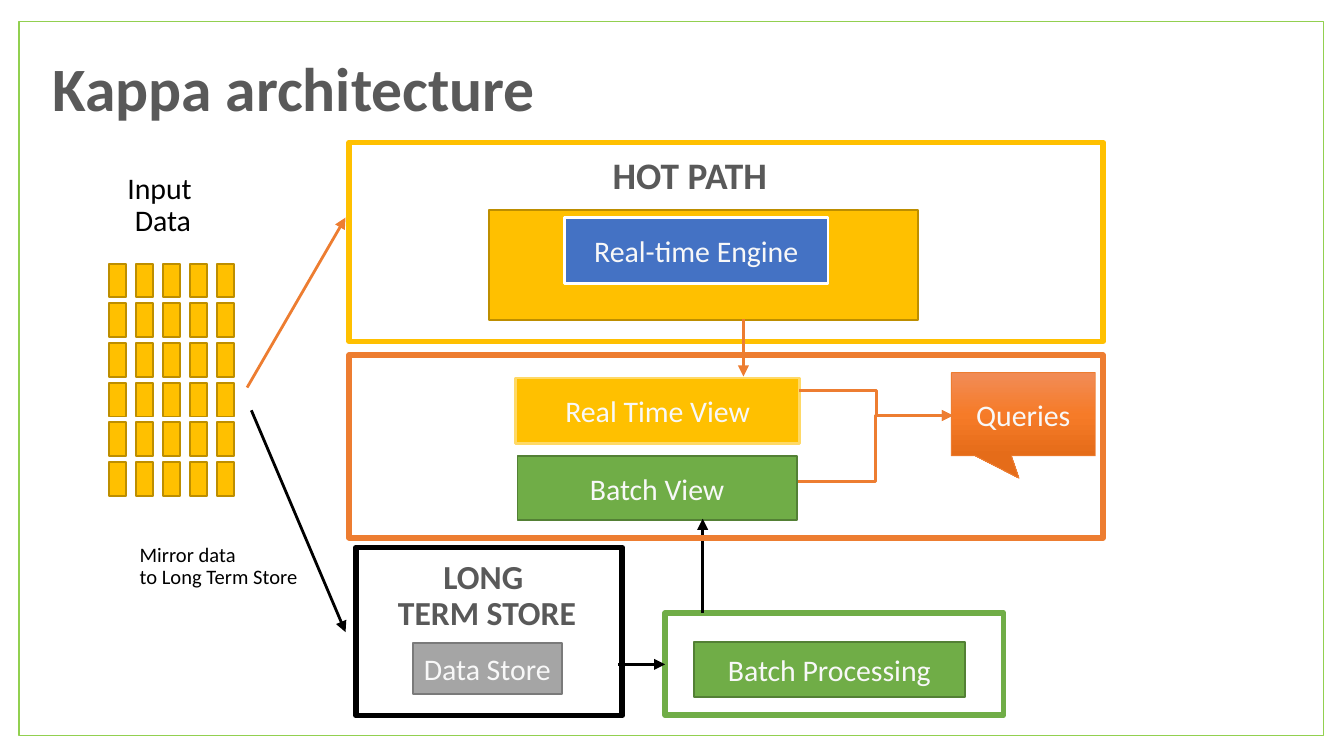
from copy import deepcopy

from lxml import etree
from pptx import Presentation
from pptx.dml.color import RGBColor
from pptx.enum.shapes import MSO_CONNECTOR as LINK, MSO_SHAPE as SHAPE
from pptx.enum.text import MSO_ANCHOR as ANCHOR, PP_ALIGN as ALIGN
from pptx.oxml.ns import qn
from pptx.util import Cm, Pt

FONT = "Calibri"
color = RGBColor.from_string

deck = Presentation()
deck.slide_width, deck.slide_height = Cm(25.4), Cm(14.28)
page = deck.slides.add_slide(deck.slide_layouts[6])


def add_box(place, fill, line, width, text="", kind=SHAPE.RECTANGLE):
    box = page.shapes.add_shape(kind, *map(Cm, place))
    box.shadow.inherit = False
    if fill:
        box.fill.solid()
        box.fill.fore_color.rgb = color(fill)
    else:
        box.fill.background()
    box.line.color.rgb = color(line)
    box.line.width = Pt(width)
    if text:
        frame = box.text_frame
        frame.text = text
        frame.margin_left = frame.margin_right = 0
        frame.vertical_anchor = ANCHOR.MIDDLE
        para = frame.paragraphs[0]
        para.alignment = ALIGN.CENTER
        para.font.name, para.font.size = FONT, Pt(16)
        para.font.color.rgb = color("F8F8F8")
    return box


def add_label(place, text, size, ink, bold, align, wrap):
    box = page.shapes.add_textbox(*map(Cm, place))
    box.text_frame.word_wrap = wrap
    box.text_frame.text = text
    for para in box.text_frame.paragraphs:
        para.alignment = align
        para.line_spacing = 0.9
        para.font.name, para.font.size, para.font.bold = FONT, Pt(size), bold
        para.font.color.rgb = color(ink)
    return box


# Page border and title
add_box((0.36, 0.41, 24.66, 13.49), None, "92D050", 0.75)
title = add_label((0.74, 0.76, 21.16, 1.93), "Kappa architecture", 33, "595959", True, ALIGN.LEFT, True)
title.text_frame.vertical_anchor = ANCHOR.MIDDLE

# Input data grid
for row in range(6):
    for column in range(5):
        add_box((2.06 + 0.51 * column, 4.98 + 0.75 * row, 0.33, 0.64), "FFC000", "BD8E00", 1)

# Boxes, back to front: place, fill, line, line width, text
for box_values in [
    ((9.25, 3.96, 8.1, 2.08), "FFC000", "BD8E00", 1),
    ((10.67, 4.11, 4.98, 1.24), "4472C4", "FFFFFF", 1.5, "Real-time Engine"),
    ((6.6, 2.69, 14.25, 3.76), None, "FFC000", 3),
    ((9.75, 7.14, 5.36, 1.24), "FFC000", "FFD966", 1.5, "Real Time View"),
    ((9.78, 8.61, 5.28, 1.22), "70AD47", "538035", 1, "Batch View"),
    ((6.73, 10.34, 5.03, 3.18), "FFFFFF", "000000", 3),
    ((7.8, 12.14, 2.82, 0.97), "A5A5A5", "7A7A7A", 1, "Data Store"),
    ((12.57, 11.58, 6.4, 1.93), "FFFFFF", "70AD47", 3),
    ((13.11, 12.12, 5.13, 1.04), "70AD47", "538035", 1, "Batch Processing"),
]:
    add_box(*box_values)

# Queries callout with a three-stop gradient
queries = add_box((17.98, 7.04, 2.72, 1.57), "F67B28", "ED7D31", 0.5, "Queries",
                  SHAPE.RECTANGULAR_CALLOUT)
queries.adjustments[0], queries.adjustments[1] = -0.03, 0.77
queries.fill.gradient()
queries.fill.gradient_angle = 270
stop_list = queries._element.spPr.find(".//" + qn("a:gsLst"))
stop_list.insert(1, deepcopy(stop_list[0]))
for stop, position, tint in zip(queries.fill.gradient_stops, (0, 0.5, 1), ("F18C57", "F67B28", "E56C19")):
    stop.position = position
    stop.color.rgb = color(tint)

# Labels
for label_values in [
    ((1.96, 3.15, 2.24, 1.52), "Input \nData", 16, "000000", False, ALIGN.CENTER, True),
    ((11.33, 2.84, 3.56, 1.02), "HOT PATH", 20, "595959", True, ALIGN.LEFT, False),
    ((6.93, 10.46, 4.55, 1.65), "LONG \nTERM STORE", 18, "595959", True, ALIGN.CENTER, True),
    ((2.39, 10.16, 4.24, 1.09), "Mirror data\nto Long Term Store", 11, "000000", False, ALIGN.LEFT, False),
]:
    add_label(*label_values)

# Arrows: kind, start, end, colour
for kind, start, end, ink in [
    (LINK.STRAIGHT, (4.67, 7.32), (6.53, 4.11), "ED7D31"),
    (LINK.STRAIGHT, (14.05, 6.02), (14.05, 7.11), "ED7D31"),
    (LINK.ELBOW, (15.11, 7.37), (18.01, 7.85), "ED7D31"),
    (LINK.ELBOW, (15.09, 9.09), (18.01, 7.85), "ED7D31"),
    (LINK.STRAIGHT, (13.28, 11.58), (13.28, 9.8), "000000"),
    (LINK.STRAIGHT, (4.75, 7.75), (6.53, 11.94), "000000"),
    (LINK.STRAIGHT, (11.68, 12.55), (12.57, 12.55), "000000"),
]:
    arrow = page.shapes.add_connector(kind, *map(Cm, start + end))
    arrow.line.color.rgb = color(ink)
    arrow.line.width = Pt(1.5)
    etree.SubElement(arrow.line._get_or_add_ln(), qn("a:tailEnd"), type="triangle")
    etree.SubElement(arrow._element.spPr, qn("a:effectLst"))

# Serving layer frame, in front of the arrows
add_box((6.6, 6.71, 14.25, 3.45), None, "ED7D31", 3)

deck.save("out.pptx")
